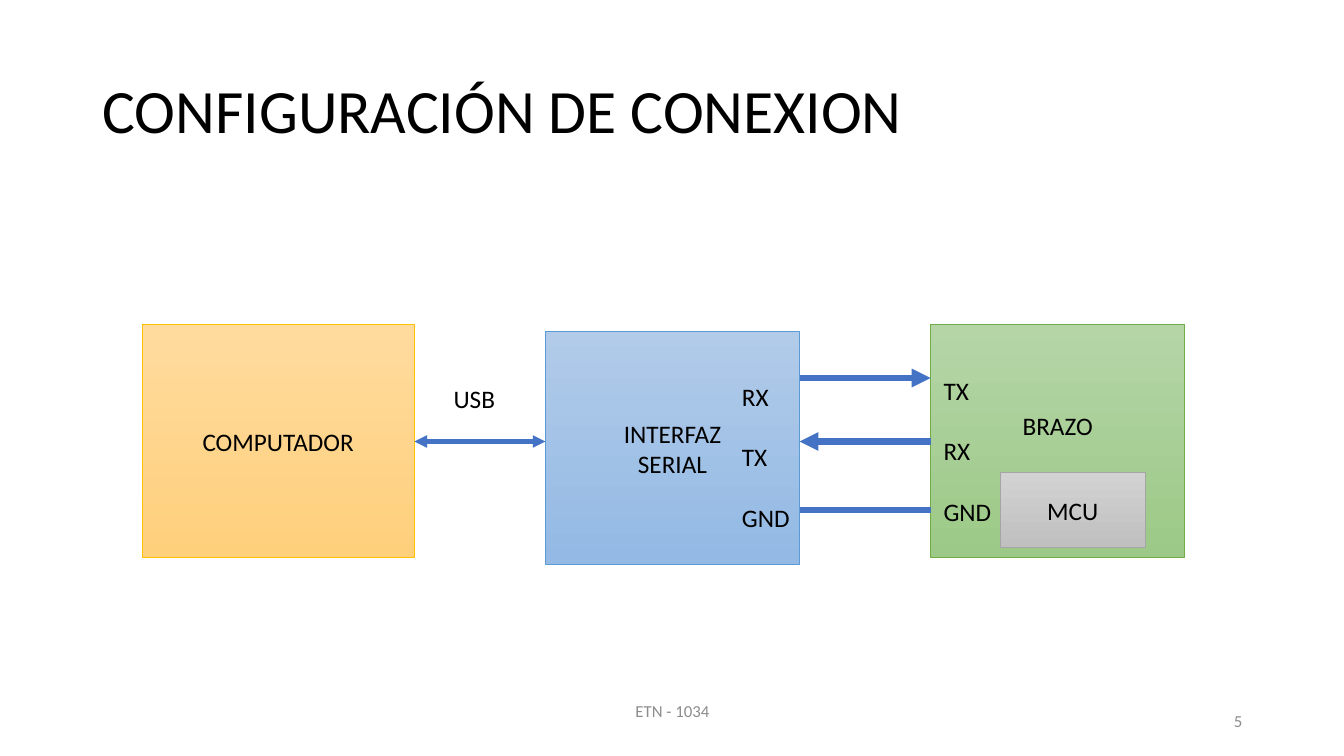
from dataclasses import dataclass

from lxml.etree import SubElement
from pptx import Presentation
from pptx.dml.color import RGBColor
from pptx.enum.shapes import MSO_CONNECTOR, MSO_SHAPE
from pptx.enum.text import MSO_ANCHOR, PP_ALIGN
from pptx.oxml.ns import qn
from pptx.util import Inches, Pt

# The grid has ten columns and ten rows to the inch.
COLUMNS, ROWS = 133.3, 75


@dataclass(frozen=True)
class Theme:
    font: str = "Calibri"
    title_size: int = 44
    body_size: int = 18
    footer_size: int = 12
    text: str = "000000"
    muted: str = "8C8C8C"
    link: str = "4472C4"
    # Top of gradient, bottom of gradient, outline
    yellow: tuple = ("FFDB9E", "FFD07C", "FFC000")
    blue: tuple = ("B1CBE9", "93B9E4", "5B9BD5")
    green: tuple = ("B5D5A7", "9CC987", "70AD47")
    gray: tuple = ("D2D2D2", "C0C0C0", "A5A5A5")


THEME = Theme()


@dataclass(frozen=True)
class Box:
    left: float
    top: float
    width: float
    height: float

    @property
    def right(self):
        return self.left + self.width

    def inner(self, column, row, width, height):
        """Return a box placed relative to this one's top left corner."""
        return Box(self.left + column, self.top + row, width, height)

    def lengths(self):
        return [grid(n) for n in (self.left, self.top, self.width, self.height)]


def grid(units):
    return Inches(units / 10)


def write_text(shape, text, size=THEME.body_size, color=THEME.text,
               align=PP_ALIGN.LEFT, anchor=MSO_ANCHOR.TOP, spacing=None, lift=0):
    """Fill a shape with one paragraph per line; lift adds rows to the bottom inset."""
    frame = shape.text_frame
    frame.word_wrap = True
    frame.vertical_anchor = anchor
    frame.margin_bottom = grid(0.5 + lift)
    frame.text = text
    for paragraph in frame.paragraphs:
        paragraph.alignment = align
        paragraph.line_spacing = spacing
        for run in paragraph.runs:
            run.font.name = THEME.font
            run.font.size = Pt(size)
            run.font.color.rgb = RGBColor.from_string(color)


def add_text(slide, box, text, **text_format):
    write_text(slide.shapes.add_textbox(*box.lengths()), text, **text_format)


def add_block(slide, box, text, colors, lift=0):
    shape = slide.shapes.add_shape(MSO_SHAPE.RECTANGLE, *box.lengths())
    shape.shadow.inherit = False
    shape.fill.gradient()
    shape.fill.gradient_angle = 270
    for stop, color in zip(shape.fill.gradient_stops, colors):
        stop.color.rgb = RGBColor.from_string(color)
    shape.line.color.rgb = RGBColor.from_string(colors[2])
    shape.line.width = Pt(0.5)
    write_text(shape, text, align=PP_ALIGN.CENTER, anchor=MSO_ANCHOR.MIDDLE, lift=lift)


def add_link(slide, start, end, row, width=4.5, arrows=()):
    """Draw a horizontal line; arrows lists the ends that carry an arrowhead."""
    connector = slide.shapes.add_connector(
        MSO_CONNECTOR.STRAIGHT, grid(start), grid(row), grid(end), grid(row))
    connector.line.color.rgb = RGBColor.from_string(THEME.link)
    connector.line.width = Pt(width)
    properties = connector._element.spPr
    for arrow in arrows:
        SubElement(properties.find(qn("a:ln")), qn(f"a:{arrow}"), type="triangle")
    SubElement(properties, qn("a:effectLst"))


def draw_title(slide, box):
    add_text(slide, box, "CONFIGURACIÓN DE CONEXION", size=THEME.title_size,
             anchor=MSO_ANCHOR.MIDDLE, spacing=0.9)


def draw_diagram(slide, box):
    block_height, wide, narrow = 23.1, 27, 25.2
    gap = (box.width - wide - 2 * narrow) / 2
    computer = box.inner(0, 0, wide, block_height)
    interface = box.inner(wide + gap, 0.7, narrow, block_height)
    arm = box.inner(box.width - narrow, 0, narrow, block_height)

    add_block(slide, interface, "INTERFAZ\nSERIAL", THEME.blue)
    add_block(slide, computer, "COMPUTADOR", THEME.yellow)
    add_block(slide, arm, "BRAZO", THEME.green, lift=3)
    add_block(slide, arm.inner(6.9, 14.7, 14.4, 7.4), "MCU", THEME.gray)

    send, receive, ground = (box.top + row for row in (5.3, 11.6, 18.4))
    add_link(slide, computer.right, interface.left, receive, width=3,
             arrows=("headEnd", "tailEnd"))
    add_link(slide, interface.right, arm.left, send, arrows=("tailEnd",))
    add_link(slide, arm.left, interface.right, receive, arrows=("tailEnd",))
    add_link(slide, interface.right, arm.left, ground)

    pins = {"RX\nTX\nGND": interface.inner(18.5, 1.4, 7.8, 18.3),
            "TX\nRX\nGND": arm.inner(0.3, 1.5, 7.8, 18.3)}
    for names, place in pins.items():
        add_text(slide, place, names, spacing=2.0)
    add_text(slide, computer.inner(wide + 2.9, 5.3, 8.9, 4), "USB")


def draw_footer(slide, box):
    footer = dict(size=THEME.footer_size, color=THEME.muted, anchor=MSO_ANCHOR.MIDDLE)
    add_text(slide, box.inner(0, 0, 45, box.height), "ETN - 1034",
             align=PP_ALIGN.CENTER, lift=2, **footer)
    add_text(slide, box.inner(box.width - 30, 0, 30, box.height), "5",
             align=PP_ALIGN.RIGHT, **footer)


def main():
    presentation = Presentation()
    presentation.slide_width, presentation.slide_height = grid(COLUMNS), grid(ROWS)
    slide = presentation.slides.add_slide(presentation.slide_layouts[6])
    draw_title(slide, Box(9.2, 4, 115, 14.5))
    draw_diagram(slide, Box(14.1, 32.2, 103.4, 23.8))
    draw_footer(slide, Box(44.2, 69.5, 80, 4))
    presentation.save("out.pptx")


if __name__ == "__main__":
    main()
